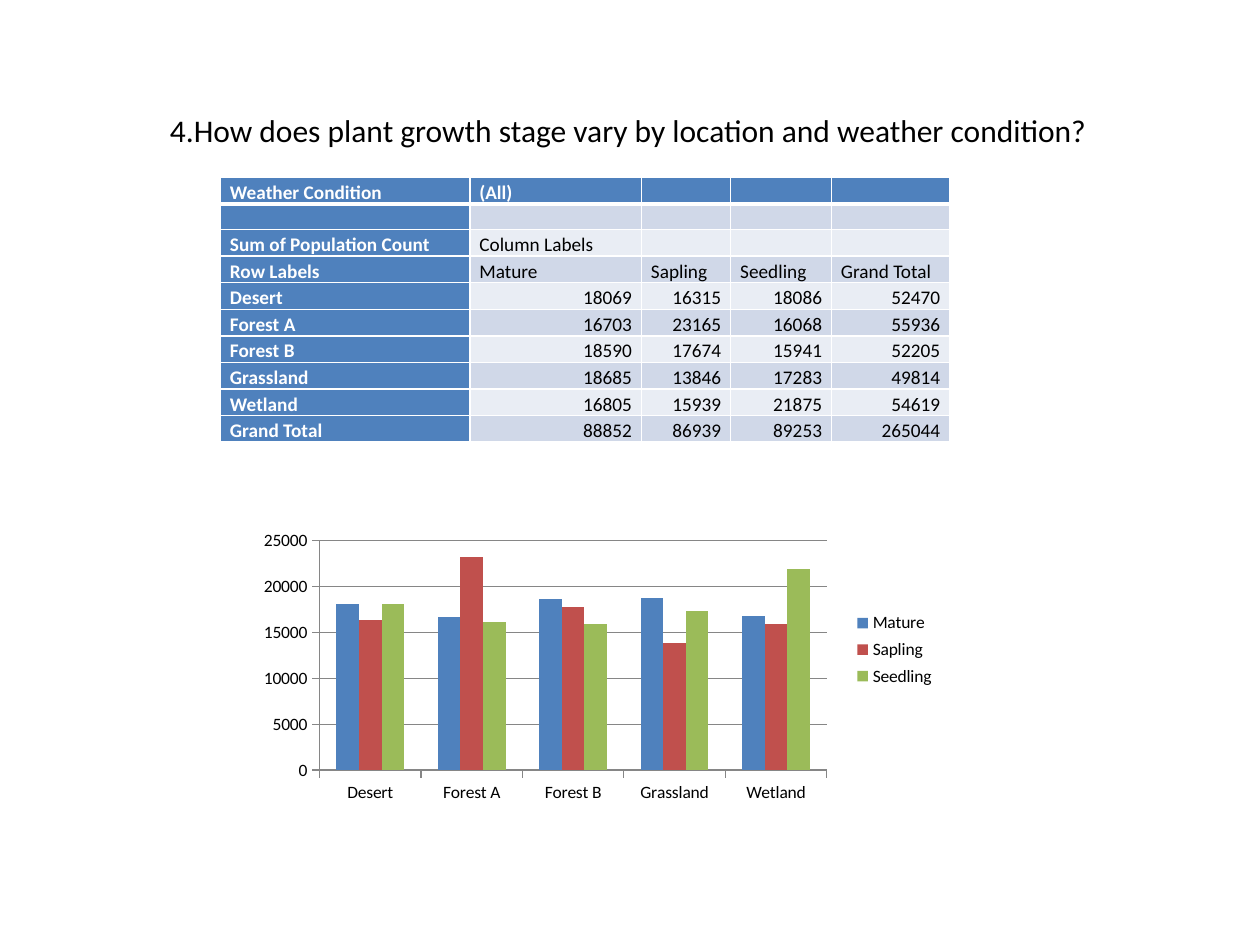
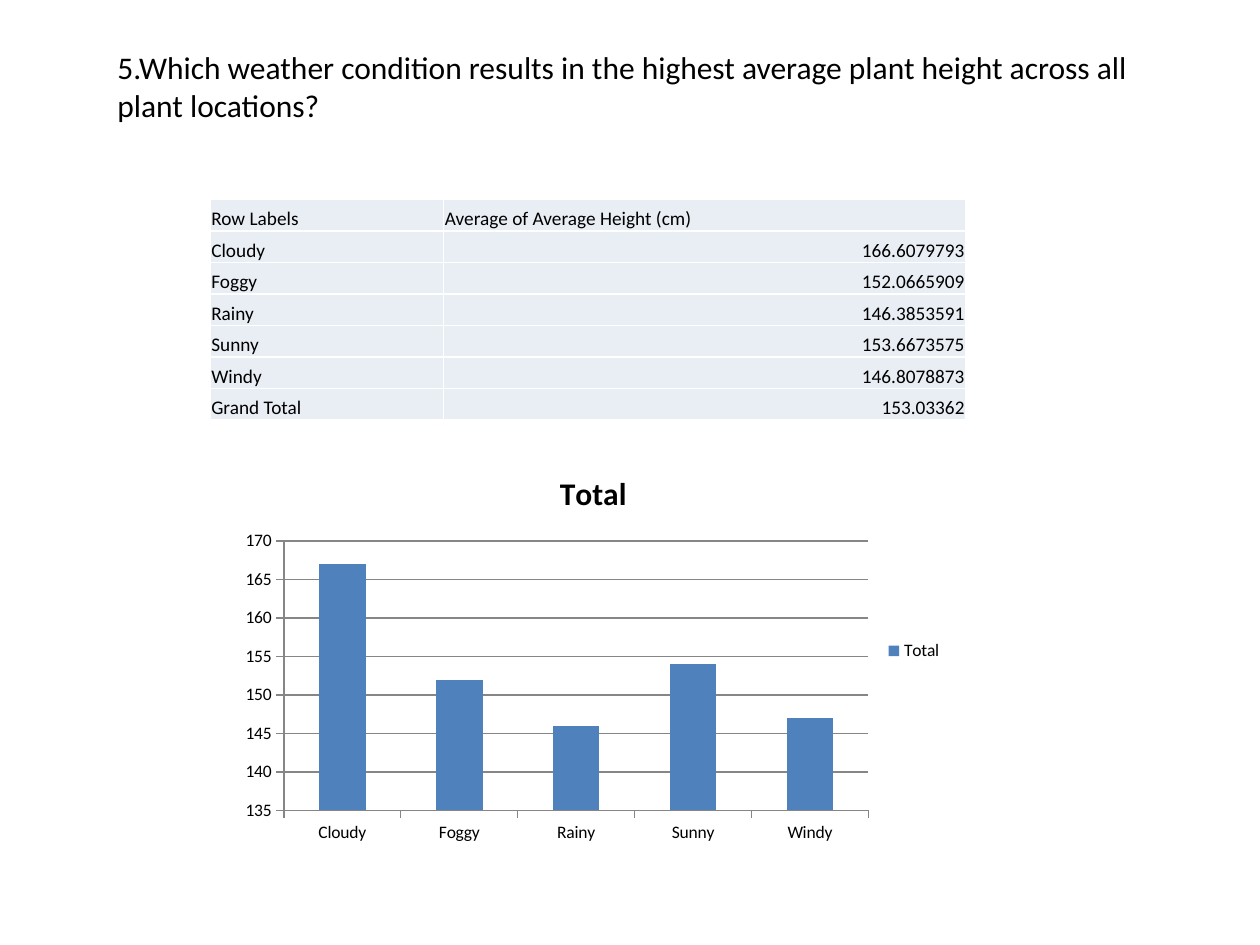
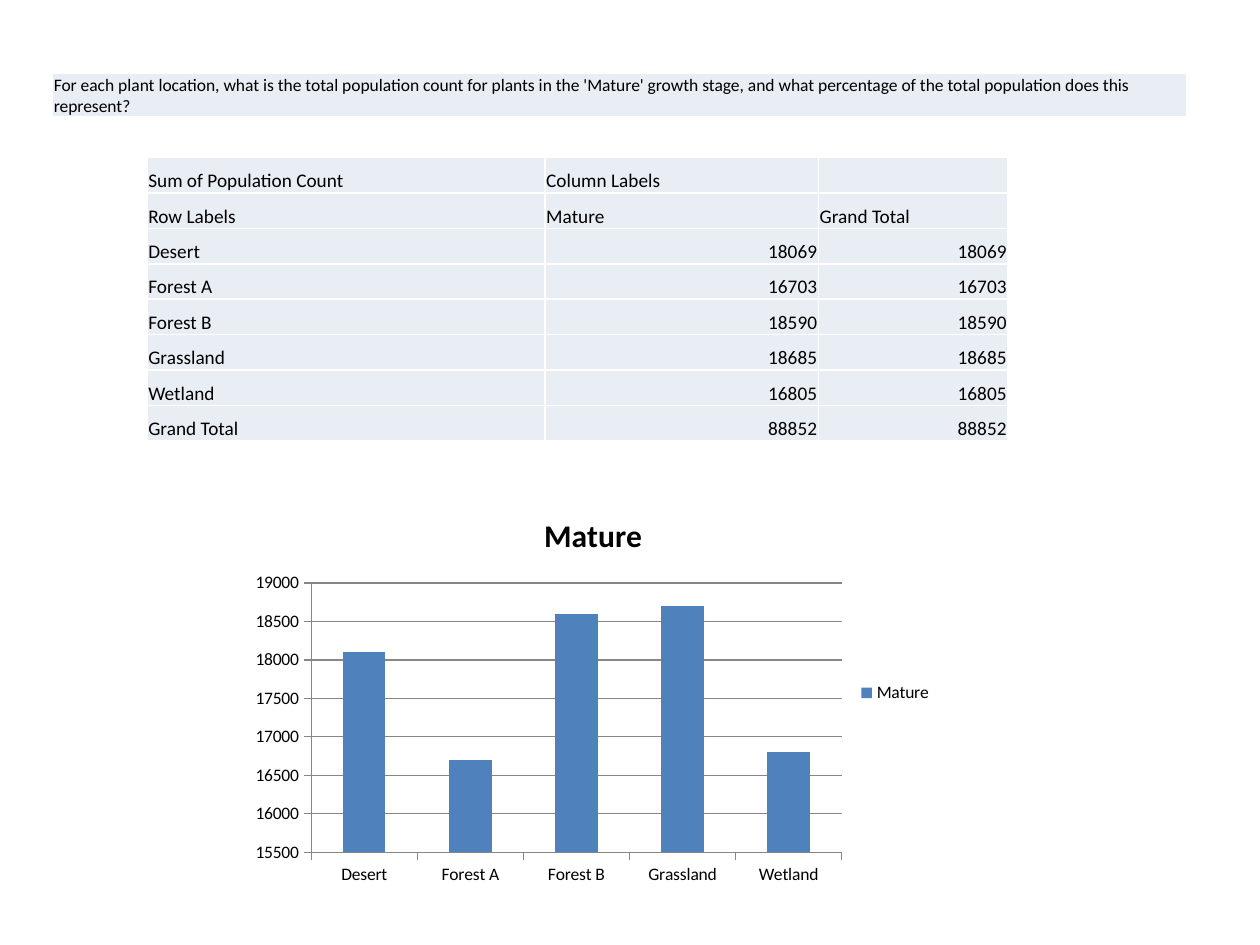
from dataclasses import dataclass

from lxml import etree
from pptx import Presentation
from pptx.chart.data import CategoryChartData
from pptx.dml.color import RGBColor
from pptx.enum.chart import XL_CHART_TYPE as ChartType
from pptx.enum.chart import XL_LEGEND_POSITION as LegendPos
from pptx.enum.chart import XL_TICK_MARK as Tick
from pptx.enum.text import MSO_ANCHOR as Anchor
from pptx.enum.text import PP_ALIGN as Align
from pptx.oxml import parse_xml
from pptx.oxml.ns import nsdecls, qn
from pptx.util import Emu, Inches, Pt

# Shared look
FONT = "Calibri"
BLACK, WHITE, GRID_GRAY = "000000", "FFFFFF", "868686"
BLUE, BAND_DARK, BAND_LIGHT = "4F81BD", "D0D8E8", "E9EDF4"
SERIES_COLORS = [BLUE, "C0504D", "9BBB59"]

# Grid: 12 units to the inch, so a slide is 120 columns by 90 rows
UNIT = Inches(1) / 12
COLS, ROWS = 120, 90

# Plant data
STAGES = ["Mature", "Sapling", "Seedling"]
POPULATION = {
    "Desert": [18069, 16315, 18086],
    "Forest A": [16703, 23165, 16068],
    "Forest B": [18590, 17674, 15941],
    "Grassland": [18685, 13846, 17283],
    "Wetland": [16805, 15939, 21875],
}
HEIGHTS = {
    "Cloudy": 166.6079793,
    "Foggy": 152.0665909,
    "Rainy": 146.3853591,
    "Sunny": 153.6673575,
    "Windy": 146.8078873,
}
MEAN_HEIGHT = 153.03362

Percents = tuple[float, float, float, float]  # left, top, width, height


@dataclass
class Box:
    col: float
    row: float
    width: float
    height: float

    def emu(self) -> list[Emu]:
        return [grid(n) for n in (self.col, self.row, self.width, self.height)]


@dataclass
class TableStyle:
    size: float = 11
    side: float = 0.75  # cell margins in points
    top: float = 0.75
    spacing: float | None = None
    headed: bool = False  # blue first row and column, banded body


@dataclass
class ChartSpec:
    box: Box
    categories: list[str]
    series: dict[str, list[float]]
    round_to: int = -2  # decimals kept, negative for tens and hundreds
    title: str | None = None
    plot: Percents | None = None
    legend: Percents | None = None


def grid(n: float) -> Emu:
    return Emu(round(n * UNIT))


def rgb(color: str) -> RGBColor:
    return RGBColor.from_string(color)


def set_font(font, size: float, color: str = BLACK, bold: bool = False) -> None:
    font.name, font.size, font.bold = FONT, Pt(size), bold
    font.color.rgb = rgb(color)


def add_question(slide, box: Box, text: str) -> None:
    tf = slide.shapes.add_textbox(*box.emu()).text_frame
    tf.word_wrap = True
    p = tf.paragraphs[0]
    p.text = text
    set_font(p.font, 18)


def set_borders(cell, top: float = 1, bottom: float = 1) -> None:
    tc_pr = cell._tc.get_or_add_tcPr()
    for i, (side, width) in enumerate(zip("LRTB", (1, 1, top, bottom))):
        tc_pr.insert(i, parse_xml(
            f'<a:ln{side} {nsdecls("a")} w="{Pt(width)}"><a:solidFill>'
            f'<a:srgbClr val="{WHITE}"/></a:solidFill></a:ln{side}>'))


def fill_cell(cell, value: str | float, style: TableStyle, fill: str, color: str) -> None:
    cell.fill.solid()
    cell.fill.fore_color.rgb = rgb(fill)
    cell.vertical_anchor = Anchor.BOTTOM
    cell.margin_left = cell.margin_right = Pt(style.side)
    cell.margin_top, cell.margin_bottom = Pt(style.top), 0
    p = cell.text_frame.paragraphs[0]
    if value == "":  # keeps an empty cell from stretching its row
        etree.SubElement(p._p, qn("a:endParaRPr"), sz=str(style.size * 100))
        return
    p.text = str(value)
    p.alignment = Align.LEFT if isinstance(value, str) else Align.RIGHT
    if style.spacing:
        p.line_spacing = style.spacing
    set_font(p.font, style.size, color, bold=color == WHITE)


def add_grid_table(slide, col: float, row: float, widths: list[float],
                   row_height: float, rows: list[list], style: TableStyle) -> None:
    box = Box(col, row, sum(widths), row_height * len(rows))
    table = slide.shapes.add_table(len(rows), len(widths), *box.emu()).table
    table.first_row = table.horz_banding = False
    for column, width in zip(table.columns, widths):
        column.width = grid(width)
    for r, values in enumerate(rows):
        table.rows[r].height = grid(row_height)
        for c, value in enumerate(values):
            fill, color = BAND_LIGHT, BLACK
            if style.headed and (r == 0 or c == 0):
                fill, color = BLUE, WHITE
            elif style.headed and r % 2:
                fill = BAND_DARK
            cell = table.cell(r, c)
            fill_cell(cell, value, style, fill, color)
            set_borders(cell,
                        top=3 if style.headed and r == 1 else 1,
                        bottom=3 if style.headed and r == 0 else 1)


def place_part(part, index: int, percents: Percents, target: str = "") -> None:
    for old in part.findall(qn("c:layout")):
        part.remove(old)
    modes = '<c:xMode val="edge"/><c:yMode val="edge"/>'
    shares = "".join(f'<c:{k} val="{v / 100:.3f}"/>' for k, v in zip("xywh", percents))
    part.insert(index, parse_xml(
        f'<c:layout {nsdecls("c")}><c:manualLayout>{target}'
        f"{modes}{shares}</c:manualLayout></c:layout>"))


def add_column_chart(slide, spec: ChartSpec) -> None:
    data = CategoryChartData()
    data.categories = spec.categories
    for name, values in spec.series.items():
        data.add_series(name, [round(v, spec.round_to) for v in values])
    chart = slide.shapes.add_chart(
        ChartType.COLUMN_CLUSTERED, *spec.box.emu(), data).chart
    set_font(chart.font, 10)
    # Title and legend
    chart.has_title = spec.title is not None
    if spec.title:
        p = chart.chart_title.text_frame.paragraphs[0]
        p.text = spec.title
        set_font(p.font, 18, bold=True)
    chart.has_legend = True
    chart.legend.position = LegendPos.RIGHT
    chart.legend.include_in_layout = False
    # Axes
    for axis in (chart.category_axis, chart.value_axis):
        axis.major_tick_mark, axis.minor_tick_mark = Tick.OUTSIDE, Tick.NONE
        axis.format.line.color.rgb = rgb(GRID_GRAY)
    chart.value_axis.has_major_gridlines = True
    chart.value_axis.major_gridlines.format.line.color.rgb = rgb(GRID_GRAY)
    # Columns
    plot = chart.plots[0]
    plot.gap_width, plot.vary_by_categories = 150, False
    for series, color in zip(plot.series, SERIES_COLORS):
        series.format.fill.solid()
        series.format.fill.fore_color.rgb = rgb(color)
    # Fixed places of plot and legend
    if spec.plot:
        place_part(chart.element.find(f'.//{qn("c:plotArea")}'), 0, spec.plot,
                   '<c:layoutTarget val="inner"/>')
    if spec.legend:
        place_part(chart.element.find(f'.//{qn("c:legend")}'), 1, spec.legend)


def growth_stage_slide(slide) -> None:
    add_question(slide, Box(15, 10, 91, 8.5),
                 "4.How does plant growth stage vary by location and weather condition?")
    by_stage = [list(counts) for counts in zip(*POPULATION.values())]
    totals = [sum(counts) for counts in by_stage]
    rows = [
        ["Weather Condition", "(All)", "", "", ""],
        [""] * 5,
        ["Sum of Population Count", "Column Labels", "", "", ""],
        ["Row Labels", *STAGES, "Grand Total"],
        *([place, *counts, sum(counts)] for place, counts in POPULATION.items()),
        ["Grand Total", *totals, sum(totals)],
    ]
    add_grid_table(slide, 21, 16.9, [23.75, 16.35, 8.5, 9.6, 11.25], 2.43, rows,
                   TableStyle(side=5.4, top=0, spacing=1.15, headed=True))
    add_column_chart(slide, ChartSpec(
        Box(21, 50, 69.4, 26.4), list(POPULATION), dict(zip(STAGES, by_stage)),
        plot=(13.6, 5.6, 69.6, 83.3), legend=(86, 29.5, 13, 31.4)))


def plant_height_slide(slide) -> None:
    add_question(slide, Box(10, 4, 102, 8.5),
                 "5.Which weather condition results in the highest average "
                 "plant height across all plant locations?")
    rows = [
        ["Row Labels", "Average of Average Height (cm)"],
        *([weather, height] for weather, height in HEIGHTS.items()),
        ["Grand Total", MEAN_HEIGHT],
    ]
    add_grid_table(slide, 20, 19, [22.25, 49.75], 3, rows, TableStyle())
    add_column_chart(slide, ChartSpec(
        Box(22, 43, 69, 38), list(HEIGHTS), {"Total": list(HEIGHTS.values())},
        round_to=0, title="Total"))


def mature_population_slide(slide) -> None:
    question = ("For each plant location, what is the total population count for plants "
                "in the 'Mature' growth stage, and what percentage of the total "
                "population does this represent?")
    add_grid_table(slide, 5, 7, [108], 4, [[question]], TableStyle(size=10))
    mature = {place: counts[0] for place, counts in POPULATION.items()}
    total = sum(mature.values())
    rows = [
        ["Sum of Population Count", "Column Labels", ""],
        ["Row Labels", "Mature", "Grand Total"],
        *([place, count, count] for place, count in mature.items()),
        ["Grand Total", total, total],
    ]
    add_grid_table(slide, 14, 15, [37.9, 26.05, 18.05], 27 / 8, rows, TableStyle())
    add_column_chart(slide, ChartSpec(
        Box(23, 47, 67, 38), list(mature), {"Mature": list(mature.values())},
        title="Mature"))


def main() -> None:
    prs = Presentation()
    prs.slide_width, prs.slide_height = grid(COLS), grid(ROWS)
    for build in (growth_stage_slide, plant_height_slide, mature_population_slide):
        build(prs.slides.add_slide(prs.slide_layouts[6]))
    prs.save("out.pptx")


if __name__ == "__main__":
    main()
